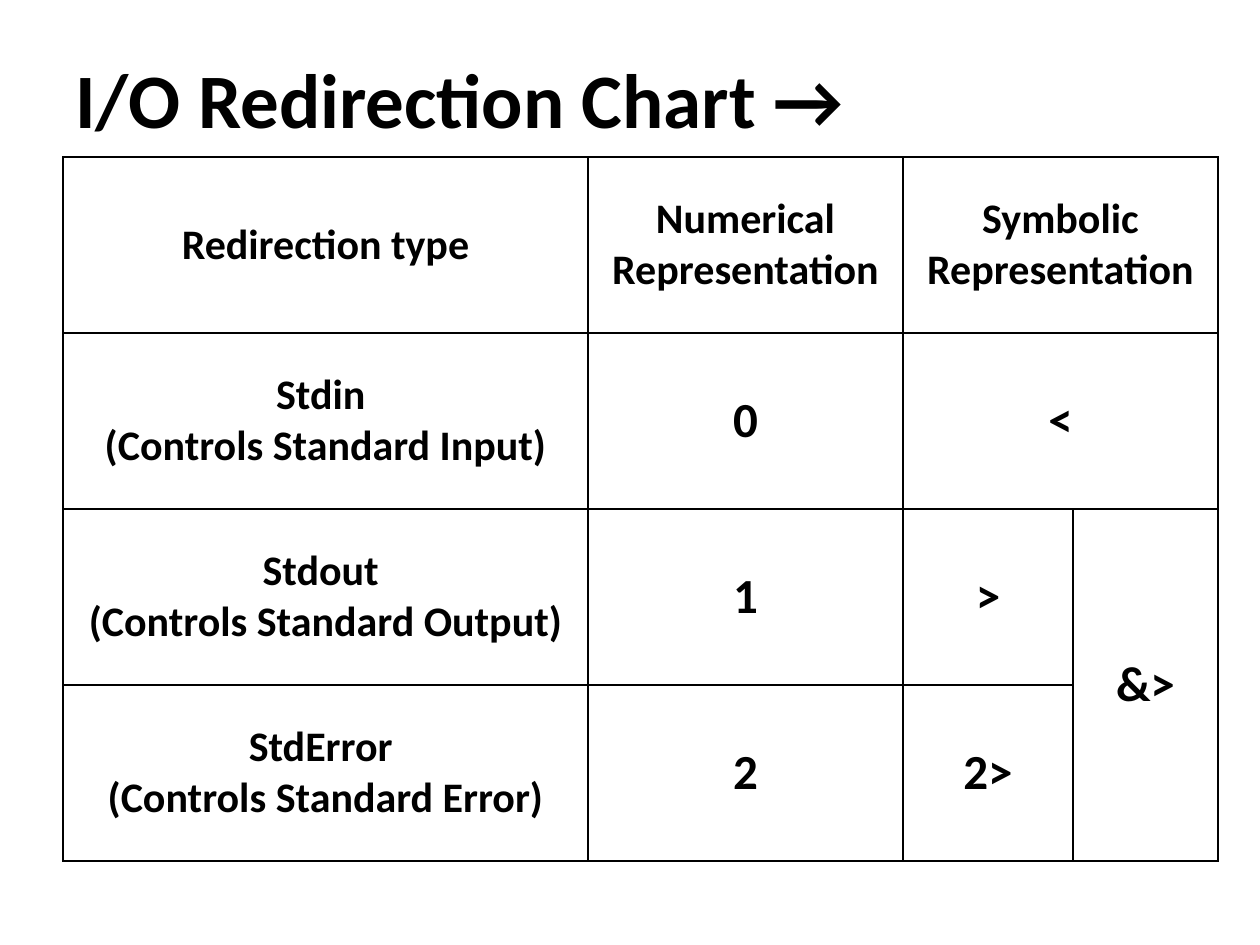
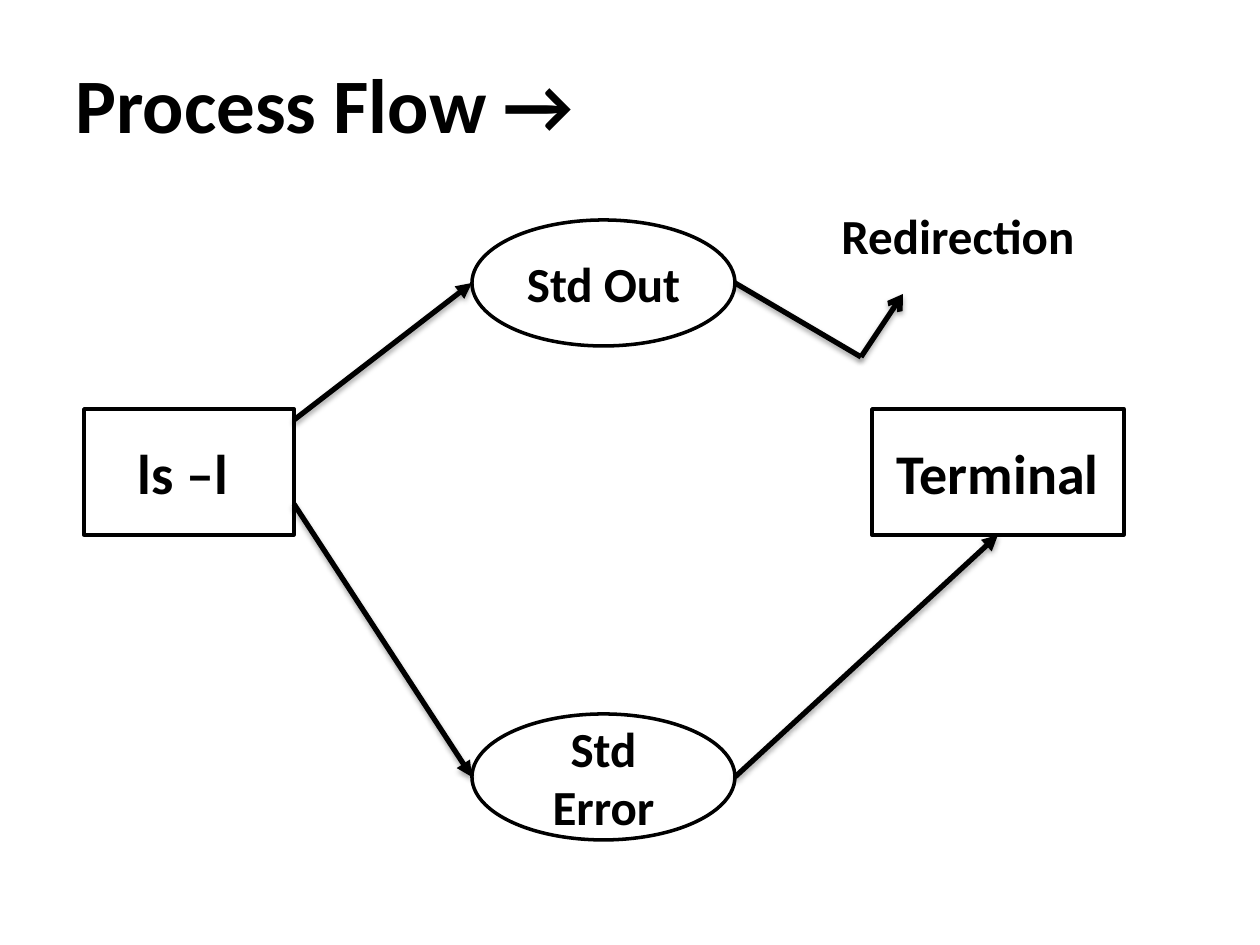
from dataclasses import dataclass
from lxml.etree import SubElement
from pptx import Presentation
from pptx.dml.color import RGBColor
from pptx.enum.shapes import MSO_CONNECTOR as Connector, MSO_SHAPE as Shape
from pptx.enum.text import MSO_ANCHOR as Anchor, PP_ALIGN as Align
from pptx.oxml import parse_xml
from pptx.oxml.ns import nsdecls, qn
from pptx.util import Emu, Pt


@dataclass(frozen=True)
class Theme:
    ink: RGBColor = RGBColor(0, 0, 0)
    paper: RGBColor = RGBColor(255, 255, 255)
    font: str = "Calibri"
    title: int = 44
    node: int = 32
    symbol: int = 28
    label: int = 24


theme = Theme()


def px(*lengths):
    return [Emu(round(length * 914400 / 126)) for length in lengths]


def write(frame, text, size, align=Align.CENTER, anchor=None):
    frame.word_wrap = True
    if anchor is not None:
        frame.vertical_anchor = anchor
    for index, line in enumerate(text.split("\n")):
        para = frame.add_paragraph() if index else frame.paragraphs[0]
        para.alignment = align
        span = para.add_run()
        span.text = line
        span.font.name = theme.font
        span.font.size = Pt(size)
        span.font.bold = True
        span.font.color.rgb = theme.ink


deck = Presentation()
deck.slide_width, deck.slide_height = px(1260, 945)

pages = []
for title, height in [("I/O Redirection Chart →", 120), ("Process Flow →", 130)]:
    page = deck.slides.add_slide(deck.slide_layouts[6])
    page.background.fill.solid()
    page.background.fill.fore_color.rgb = theme.paper
    box = page.shapes.add_textbox(*px(63, 38, 1134, height))
    write(box.text_frame, title, theme.title, Align.LEFT, Anchor.MIDDLE)
    pages.append(page)
chart_page, flow_page = pages

column_widths = [525, 315, 170, 145]
row_height = 176
rows = [
    ["Redirection type", "Numerical Representation", "Symbolic Representation", ""],
    ["Stdin \n(Controls Standard Input)", "0", "<", ""],
    ["Stdout \n(Controls Standard Output)", "1", ">", "&>"],
    ["StdError \n(Controls Standard Error)", "2", "2>", ""],
]
table = chart_page.shapes.add_table(
    len(rows), len(column_widths),
    *px(63, 157, sum(column_widths), row_height * len(rows))).table
table.first_row = table.horz_banding = False
for column, width in zip(table.columns, column_widths):
    column.width = px(width)[0]
for row in table.rows:
    row.height = px(row_height)[0]
for first, last in [((0, 2), (0, 3)), ((1, 2), (1, 3)), ((2, 3), (3, 3))]:
    table.cell(*first).merge(table.cell(*last))

for row_index, texts in enumerate(rows):
    for column_index, text in enumerate(texts):
        cell = table.cell(row_index, column_index)
        cell.fill.background()
        cell.vertical_anchor = Anchor.MIDDLE
        if text:
            is_label = row_index == 0 or column_index == 0
            write(cell.text_frame, text, theme.label if is_label else theme.symbol)
        properties = cell._tc.get_or_add_tcPr()
        for position, side in enumerate(["lnL", "lnR", "lnT", "lnB"]):
            properties.insert(position, parse_xml(
                f'<a:{side} {nsdecls("a")} w="{Pt(1)}"><a:solidFill>'
                f'<a:srgbClr val="{theme.ink}"/></a:solidFill></a:{side}>'))

nodes = [
    (Shape.RECTANGLE, "ls –l ", theme.node, 84, 409, 210),
    (Shape.RECTANGLE, "Terminal", theme.node, 872, 409, 252),
    (Shape.OVAL, "Std Out", theme.symbol, 472, 220, 263),
    (Shape.OVAL, "Std Error", theme.symbol, 472, 714, 263),
]
for kind, text, size, left, top, width in nodes:
    node = flow_page.shapes.add_shape(kind, *px(left, top, width, 126))
    node.shadow.inherit = False
    node.fill.solid()
    node.fill.fore_color.rgb = theme.paper
    node.line.color.rgb = theme.ink
    node.line.width = Pt(2)
    write(node.text_frame, text, size, anchor=Anchor.MIDDLE)

command_top, command_bottom = (294, 420), (294, 504)
out_left, out_right = (472, 283), (735, 283)
error_left, error_right = (472, 777), (735, 777)
bend, redirection, terminal = (861, 357), (903, 294), (998, 535)
flows = [
    (command_top, out_left, "triangle"),
    (command_bottom, error_left, "triangle"),
    (out_right, bend, None),
    (error_right, terminal, "triangle"),
    (bend, redirection, "arrow"),
]
for start, end, head in flows:
    flow = flow_page.shapes.add_connector(Connector.STRAIGHT, *px(*start, *end))
    flow.line.color.rgb = theme.ink
    flow.line.width = Pt(3)
    if head:
        SubElement(flow.line._get_or_add_ln(), qn("a:tailEnd"), type=head)
    flow._element.spPr.append(parse_xml(
        f'<a:effectLst {nsdecls("a")}>'
        '<a:outerShdw blurRad="40000" dist="23000" dir="5400000" rotWithShape="0">'
        f'<a:srgbClr val="{theme.ink}"><a:alpha val="35000"/></a:srgbClr>'
        '</a:outerShdw></a:effectLst>'))

box = flow_page.shapes.add_textbox(*px(829, 199, 262, 72))
write(box.text_frame, "Redirection", theme.symbol, Align.LEFT)

deck.save("out.pptx")
